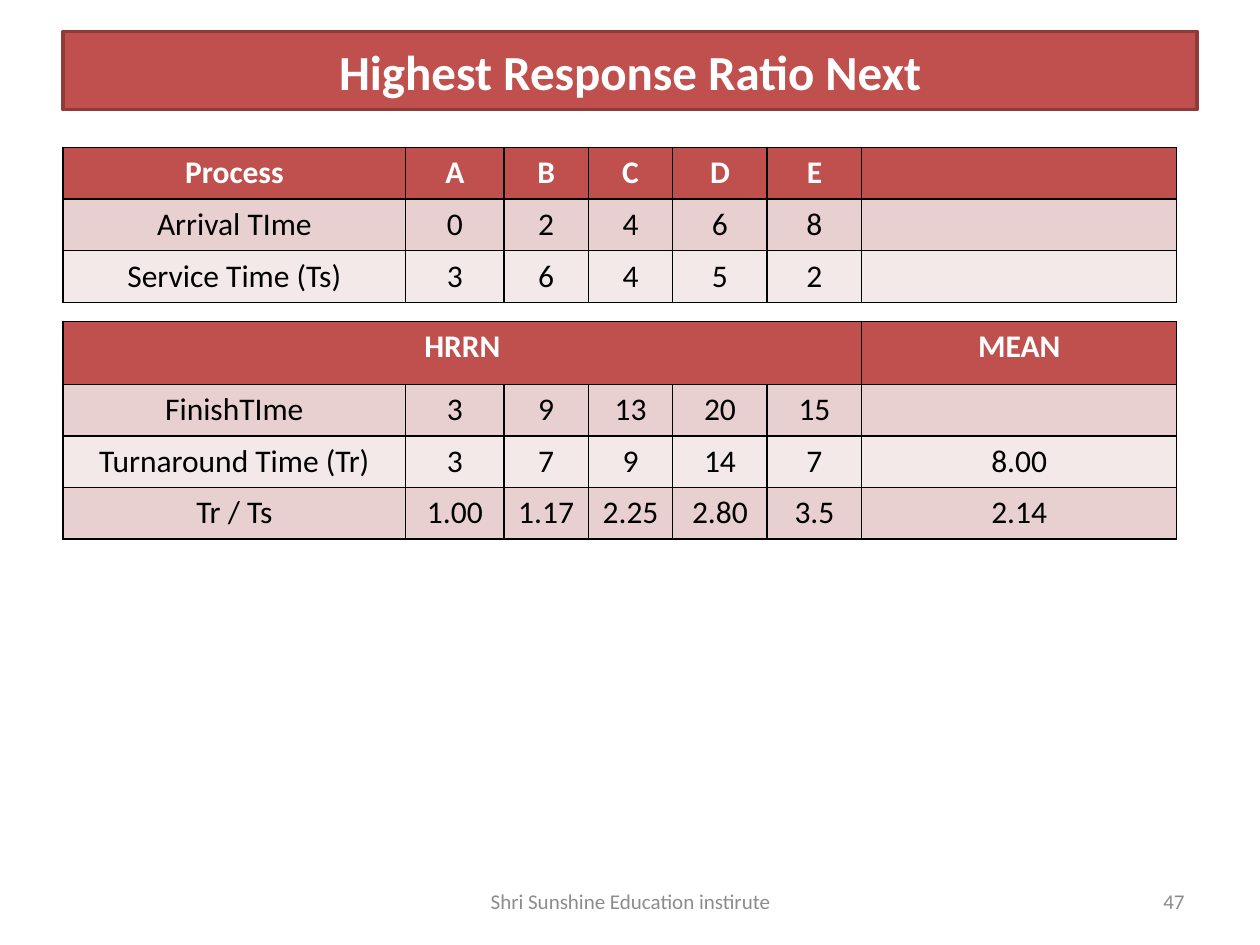
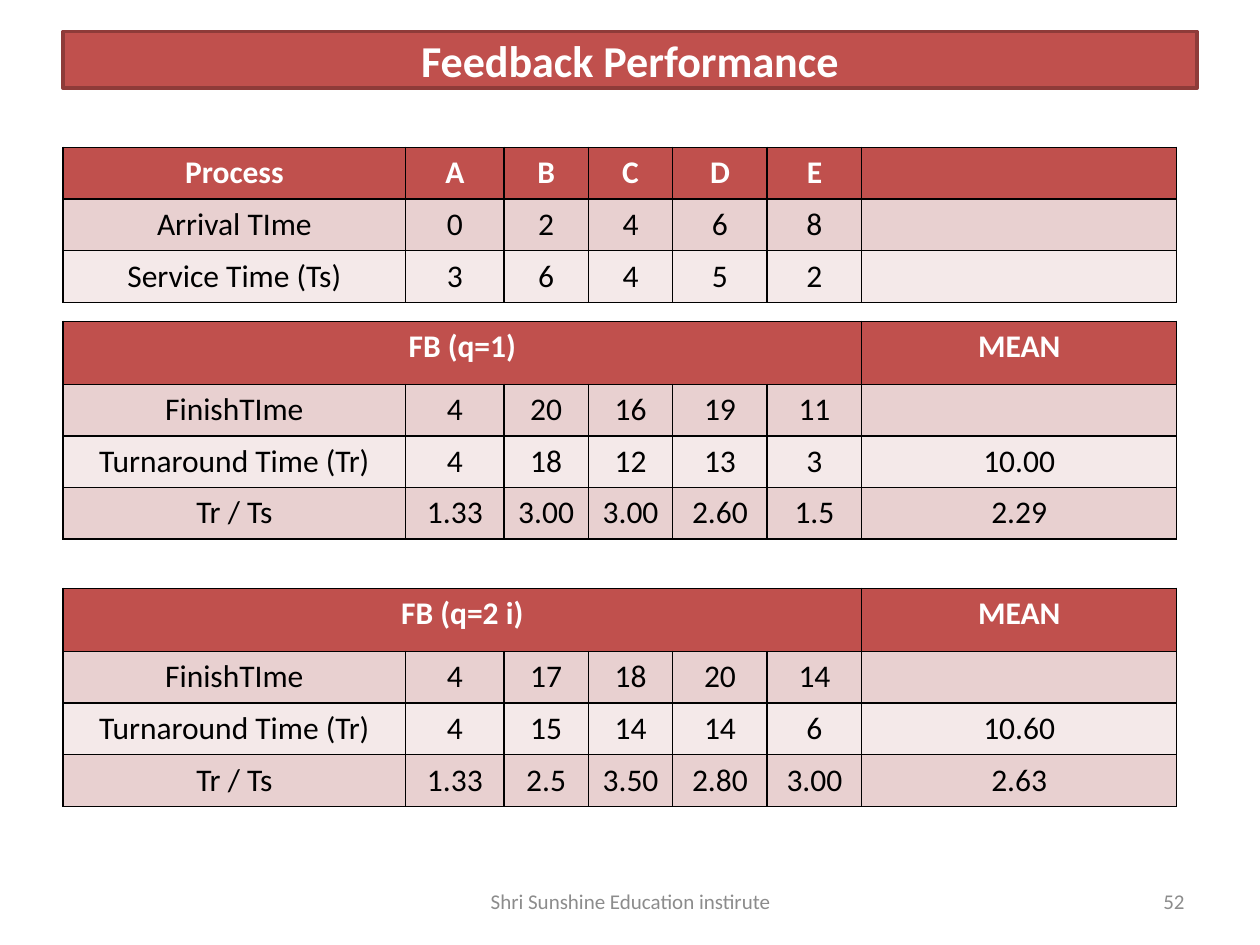
from dataclasses import dataclass

from lxml.etree import SubElement
from pptx import Presentation
from pptx.dml.color import RGBColor
from pptx.enum.text import MSO_ANCHOR, MSO_AUTO_SIZE, PP_ALIGN
from pptx.oxml.ns import qn
from pptx.util import Inches, Pt


@dataclass(frozen=True)
class Theme:
    font: str = "Calibri"
    accent: str = "C0504D"
    accent_dark: str = "8E3B39"
    bands: tuple = ("E8D0D0", "F4E9E9")
    light_text: str = "FFFFFF"
    dark_text: str = "000000"
    footer_text: str = "8C8C8C"
    table_border: str = "000000"
    title_size: float = 28
    small_title_size: float = 25.2
    table_size: float = 18
    footer_size: float = 12


# Shared layout and content
MARGIN = 0.5
COLUMN_WIDTHS = (2.72, 0.78, 0.67, 0.67, 0.75, 0.75, 2.5)
ROW_HEIGHT = 0.41
RESULT_HEADER_HEIGHT = 0.5
PROCESS_TOP = 1.17
RESULT_TOPS = (2.55, 4.67)
RESULT_LABELS = ("FinishTIme", "Turnaround Time (Tr)", "Tr / Ts")
FOOTER = "Shri Sunshine Education instirute"
PROCESS_ROWS = (
    ("Process", "A", "B", "C", "D", "E", ""),
    ("Arrival TIme", "0", "2", "4", "6", "8", ""),
    ("Service Time (Ts)", "3", "6", "4", "5", "2", ""),
)


class SlideBuilder:
    def __init__(self, presentation, theme):
        self.presentation = presentation
        self.theme = theme
        self.slide = None

    def format_paragraph(self, paragraph, size, color, alignment=PP_ALIGN.CENTER, bold=False):
        paragraph.alignment = alignment
        paragraph.font.name = self.theme.font
        paragraph.font.size = Pt(size)
        paragraph.font.bold = bold
        paragraph.font.color.rgb = RGBColor.from_string(color)

    def add_slide(self, title, title_height, title_size, number):
        title_only = self.presentation.slide_layouts[5]
        self.slide = self.presentation.slides.add_slide(title_only)
        self.add_title(title, title_height, title_size)
        self.add_footer_text(FOOTER, 3.42, 3.17, PP_ALIGN.CENTER)
        self.add_footer_text(number, 7.17, 2.33, PP_ALIGN.RIGHT)

    def add_title(self, text, height, size):
        title = self.slide.shapes.title
        title.left, title.top = Inches(MARGIN), Inches(0.25)
        title.width, title.height = Inches(9), Inches(height)
        title.fill.solid()
        title.fill.fore_color.rgb = RGBColor.from_string(self.theme.accent)
        title.line.color.rgb = RGBColor.from_string(self.theme.accent_dark)
        title.line.width = Pt(2)
        frame = title.text_frame
        frame.text = text
        frame.auto_size = MSO_AUTO_SIZE.NONE
        frame.vertical_anchor = MSO_ANCHOR.MIDDLE
        self.format_paragraph(frame.paragraphs[0], size, self.theme.light_text, bold=True)

    def add_footer_text(self, text, left, width, alignment):
        box = self.slide.shapes.add_textbox(
            Inches(left), Inches(6.95), Inches(width), Inches(0.4))
        frame = box.text_frame
        frame.word_wrap = True
        frame.vertical_anchor = MSO_ANCHOR.MIDDLE
        frame.text = text
        self.format_paragraph(frame.paragraphs[0], self.theme.footer_size,
                              self.theme.footer_text, alignment)

    def add_table(self, rows, top, header_height=ROW_HEIGHT):
        heights = [header_height] + [ROW_HEIGHT] * (len(rows) - 1)
        table = self.slide.shapes.add_table(
            len(rows), len(COLUMN_WIDTHS), Inches(MARGIN), Inches(top),
            Inches(sum(COLUMN_WIDTHS)), Inches(sum(heights))).table
        for column, width in zip(table.columns, COLUMN_WIDTHS):
            column.width = Inches(width)
        for row, height in zip(table.rows, heights):
            row.height = Inches(height)
        for row_index, values in enumerate(rows):
            for column_index, text in enumerate(values):
                self.format_cell(table.cell(row_index, column_index), text, row_index)
        return table

    def format_cell(self, cell, text, row_index):
        theme = self.theme
        is_header = row_index == 0
        cell.text = text
        self.format_paragraph(cell.text_frame.paragraphs[0], theme.table_size,
                              theme.light_text if is_header else theme.dark_text,
                              bold=is_header)
        # Borders must come before the fill in the cell properties
        properties = cell._tc.get_or_add_tcPr()
        for side in ("lnL", "lnR", "lnT", "lnB"):
            line = SubElement(properties, qn(f"a:{side}"), w=str(Pt(1)))
            fill = SubElement(line, qn("a:solidFill"))
            SubElement(fill, qn("a:srgbClr"), val=theme.table_border)
        color = theme.accent if is_header else theme.bands[(row_index - 1) % 2]
        cell.fill.solid()
        cell.fill.fore_color.rgb = RGBColor.from_string(color)

    def add_result_table(self, name, results, top):
        header = (name, "", "", "", "", "", "MEAN")
        rows = [header] + [(label, *values) for label, values in zip(RESULT_LABELS, results)]
        table = self.add_table(rows, top, RESULT_HEADER_HEIGHT)
        table.cell(0, 0).merge(table.cell(0, 5))

    def add_schedule(self, result_tables):
        self.add_table(PROCESS_ROWS, PROCESS_TOP)
        for (name, results), top in zip(result_tables, RESULT_TOPS):
            self.add_result_table(name, results, top)


def main():
    presentation = Presentation()
    presentation.slide_width, presentation.slide_height = Inches(10), Inches(7.5)
    theme = Theme()
    builder = SlideBuilder(presentation, theme)

    # Highest response ratio next
    builder.add_slide("Highest Response Ratio Next", 0.62, theme.title_size, "47")
    builder.add_schedule([
        ("HRRN", (
            ("3", "9", "13", "20", "15", ""),
            ("3", "7", "9", "14", "7", "8.00"),
            ("1.00", "1.17", "2.25", "2.80", "3.5", "2.14"),
        )),
    ])

    # Feedback with two quantum rules
    builder.add_slide("Feedback Performance", 0.45, theme.small_title_size, "52")
    builder.add_schedule([
        ("FB (q=1)", (
            ("4", "20", "16", "19", "11", ""),
            ("4", "18", "12", "13", "3", "10.00"),
            ("1.33", "3.00", "3.00", "2.60", "1.5", "2.29"),
        )),
        ("FB (q=2 i)", (
            ("4", "17", "18", "20", "14", ""),
            ("4", "15", "14", "14", "6", "10.60"),
            ("1.33", "2.5", "3.50", "2.80", "3.00", "2.63"),
        )),
    ])

    presentation.save("out.pptx")


if __name__ == "__main__":
    main()
